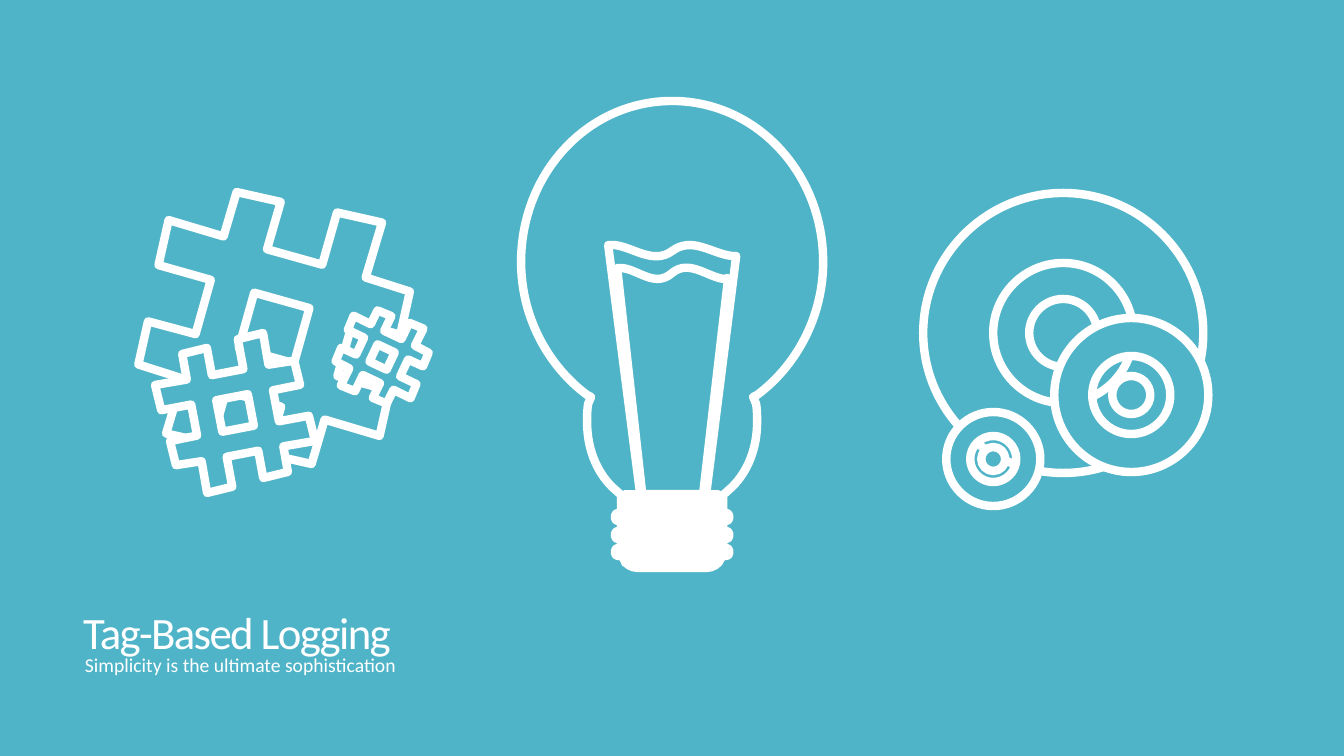
from lxml.etree import SubElement
from pptx import Presentation
from pptx.dml.color import RGBColor
from pptx.enum.shapes import MSO_SHAPE
from pptx.enum.text import MSO_ANCHOR, MSO_AUTO_SIZE, PP_ALIGN
from pptx.oxml.ns import qn
from pptx.util import Inches, Pt

PX = 914400 / 100.8
TEAL, WHITE = "50B4C8", "FFFFFF"

TITLE = ("Tag-Based Logging", (73, 597, 1188, 67), 32, 0.85)
SUBTITLE = ("Simplicity is the ultimate sophistication", (75, 651, 1017, 58), 14, 0.9)

AXIS = 672
GLASS = [(0, 101), (84, 101, 151, 173, 151, 262), (151, 317, 124, 366, 85, 395),
         (81, 397), (84, 404), (85, 410, 85, 416, 85, 422),
         (85, 448, 76, 471, 60, 487), (51, 495)]
THREAD_TOPS = (513, 531, 548)
THREAD = [(51, 0), (55, 0), (57, 2), (57, 6), (55, 8), (51, 8)]
CAP = [(49, 558), (47, 564, 41, 568, 34, 568), (0, 568)]
SOCKET = (625, 494, 93, 69)
FILAMENTS = [
    [(614, 245), (633, 247, 653, 265, 672, 251), (692, 236, 712, 254, 732, 256),
     (736, 256), (706, 494), (640, 494), (608, 245)],
    [(622, 268), (639, 270, 655, 288, 672, 273), (689, 259, 707, 277, 724, 279),
     (728, 278), (701, 511), (644, 511), (617, 268)],
]

HASH_WIDTH = 252
HASH_HALF = [(-126, -36), (-126, -82), (-69, -78), (-65, -124), (-21, -124),
             (-23, -75), (33, -72), (36, -126), (82, -126), (78, -69),
             (124, -66), (124, -21), (75, -24), (72, 33)]
HASH_HOLE_HALF = [(-30, 27), (27, 30)]
HASHES = [((274, 328), 253, 102.6), ((235, 413), 142, 76.2), ((382, 357), 84, 112.4)]

DISCS = [((1063, 333), (34, 70, 140)), ((1131, 395), (19, 39, 77)),
         ((993, 459), (12, 23, 47))]
ARC = 0.55
UNIT_CIRCLE = [(0, -1), (ARC, -1, 1, -ARC, 1, 0), (1, ARC, ARC, 1, 0, 1),
               (-ARC, 1, -1, ARC, -1, 0), (-1, -ARC, -ARC, -1, 0, -1)]


def emu(px):
    return round(px * PX)


def color(hex_string):
    return RGBColor.from_string(hex_string)


def pairs(step):
    return list(zip(step[::2], step[1::2]))


def place(steps, center, scale_x, scale_y):
    """Scale the points of each step and move them to a center."""
    return [tuple(value for x, y in pairs(step)
                  for value in (center[0] + x * scale_x, center[1] + y * scale_y))
            for step in steps]


def backward(steps):
    """Walk the same steps from the last point to the first."""
    walked = [steps[-1][-2:]]
    for start, step in reversed(list(zip(steps, steps[1:]))):
        controls = [value for point in pairs(step)[-2::-1] for value in point]
        walked.append((*controls, *start[-2:]))
    return walked


def paint(shape, fill=None):
    shape.shadow.inherit = False
    if fill:
        shape.fill.solid()
        shape.fill.fore_color.rgb = color(fill)
    else:
        shape.fill.background()
    shape.line.color.rgb = color(WHITE)
    shape.line.width = Pt(6)


def outline(group, contours, fill=None):
    """Draw closed contours whose steps are points or cubic curves."""
    ends = [[(emu(step[-2]), emu(step[-1])) for step in steps] for steps in contours]
    builder = group.shapes.build_freeform(*ends[0][0])
    for i, contour in enumerate(ends):
        if i:
            builder.move_to(*contour[0])
        builder.add_line_segments(contour[1:], close=True)
    shape = builder.convert_to_shape()
    left = min(x for contour in ends for x, _ in contour)
    top = min(y for contour in ends for _, y in contour)
    segments = list(shape._element.iter(qn("a:lnTo")))
    steps = [step for contour in contours for step in contour[1:]]
    for segment, step in zip(segments, steps):
        if len(step) == 6:
            curve = SubElement(segment.getparent(), qn("a:cubicBezTo"))
            for x, y in pairs(step):
                SubElement(curve, qn("a:pt"), x=str(emu(x) - left), y=str(emu(y) - top))
            segment.getparent().replace(segment, curve)
    paint(shape, fill)
    return shape


def write(box, content, anchor):
    text, bounds, size, spacing = content
    box.left, box.top, box.width, box.height = map(emu, bounds)
    frame = box.text_frame
    frame.word_wrap = True
    frame.auto_size = MSO_AUTO_SIZE.NONE
    frame.vertical_anchor = anchor
    paragraph = frame.paragraphs[0]
    paragraph.alignment = PP_ALIGN.LEFT
    paragraph.line_spacing = spacing
    run = paragraph.add_run()
    run.text = text
    run.font.name = "Calibri"
    run.font.size = Pt(size)
    run.font.color.rgb = color(WHITE)
    return run


def main():
    deck = Presentation()
    deck.slide_width, deck.slide_height = Inches(13.33), Inches(7.5)
    slide = deck.slides.add_slide(deck.slide_layouts[5])
    slide.background.fill.solid()
    slide.background.fill.fore_color.rgb = color(TEAL)

    title_run = write(slide.shapes.title, TITLE, MSO_ANCHOR.BOTTOM)
    title_run.font._element.set("spc", "-120")
    write(slide.shapes.add_textbox(0, 0, 0, 0), SUBTITLE, MSO_ANCHOR.TOP)

    bulb = slide.shapes.add_group_shape()
    threads = [(x, top + y) for top in THREAD_TOPS for x, y in THREAD]
    half = GLASS + threads + CAP
    right = place(half, (AXIS, 0), 1, 1)
    left = place(backward(half), (AXIS, 0), -1, 1)
    outline(bulb, [right + left[1:]])
    outline(bulb, [FILAMENTS[0]])
    socket = bulb.shapes.add_shape(MSO_SHAPE.RECTANGLE, *map(emu, SOCKET))
    paint(socket, WHITE)
    outline(bulb, [FILAMENTS[1]])

    tags = slide.shapes.add_group_shape()
    for center, width, turn in HASHES:
        scale = width / HASH_WIDTH
        contours = [place(part, center, scale, scale) + place(part, center, -scale, -scale)
                    for part in (HASH_HOLE_HALF, HASH_HALF)]
        outline(tags, contours, TEAL).rotation = turn

    discs = slide.shapes.add_group_shape()
    for center, radii in DISCS:
        rings = [place(UNIT_CIRCLE, center, radius, radius) for radius in radii]
        outline(discs, rings, TEAL)

    deck.save("out.pptx")


if __name__ == "__main__":
    main()
